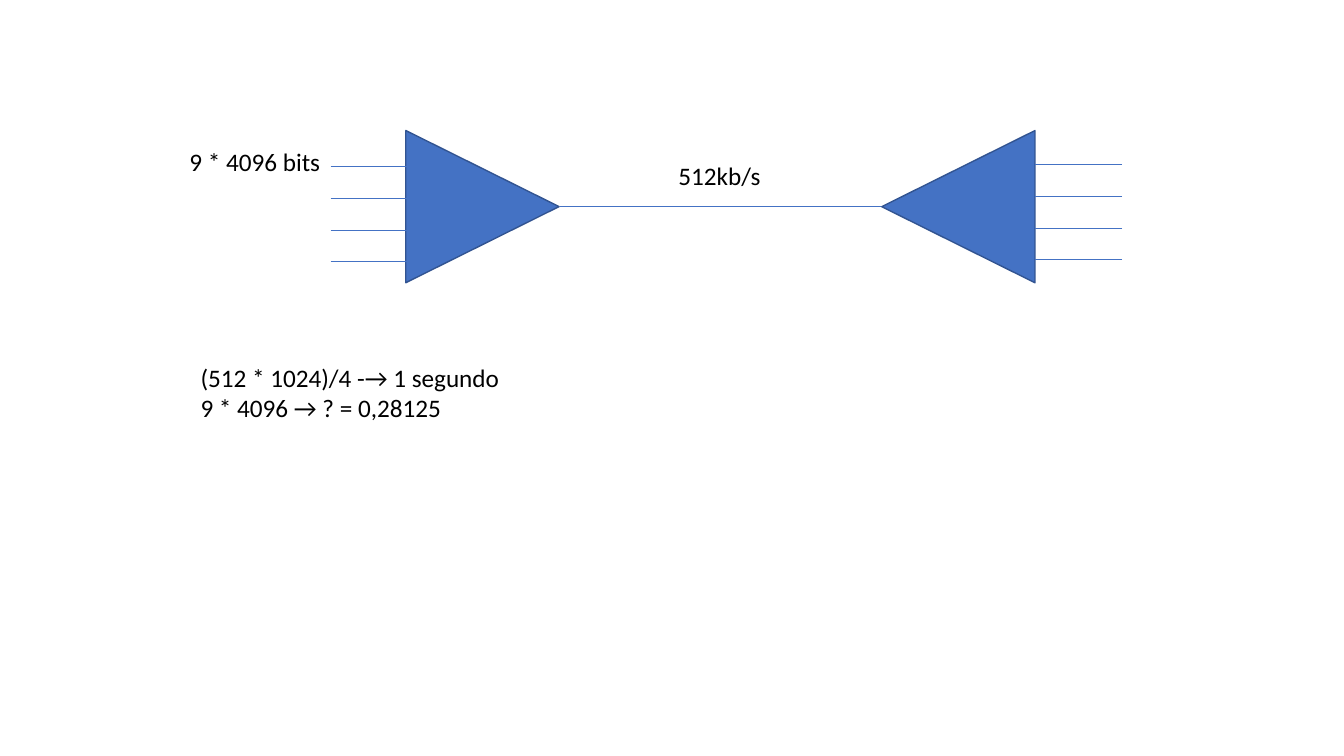
from dataclasses import dataclass

from lxml import etree
from pptx import Presentation
from pptx.dml.color import RGBColor
from pptx.enum.shapes import MSO_CONNECTOR, MSO_SHAPE
from pptx.enum.text import MSO_AUTO_SIZE
from pptx.oxml.ns import qn
from pptx.slide import Slide
from pptx.util import Inches, Pt

STRAIGHT = MSO_CONNECTOR.STRAIGHT
TRIANGLE = MSO_SHAPE.ISOSCELES_TRIANGLE
FIT_SHAPE = MSO_AUTO_SIZE.SHAPE_TO_FIT_TEXT

COLORS = {"blue": "4472C4", "outline": "325491", "text": "000000"}
CHANNEL_OFFSETS = (0, 0.32, 0.64, 0.94)
TRIANGLE_TOP, TRIANGLE_WIDTH, TRIANGLE_HEIGHT = 1.29, 1.51, 1.52
TRUNK_Y = 2.05


@dataclass(frozen=True)
class Multiplexer:
    left: float
    rotation: int
    channel_start: float
    channel_end: float
    first_channel_y: float


@dataclass(frozen=True)
class Label:
    left: float
    top: float
    width: float
    height: float
    lines: tuple[str, ...]


MULTIPLEXERS = (
    Multiplexer(4.03, 90, 3.28, 4.14, 1.65),
    Multiplexer(8.75, 270, 11.13, 10.27, 1.63),
)
LABELS = (
    Label(6.63, 1.54, 1.02, 0.4, ("512kb/s",)),
    Label(1.78, 1.4, 1.51, 0.4, ("9 * 4096 bits",)),
    Label(1.89, 3.54, 3.22, 0.71,
          ("(512 * 1024)/4 -→ 1 segundo", "9 * 4096 → ? = 0,28125")),
)


def color(name: str) -> RGBColor:
    return RGBColor.from_string(COLORS[name])


def draw_link(slide: Slide, start: float, end: float, y: float) -> None:
    link = slide.shapes.add_connector(
        STRAIGHT, Inches(start), Inches(y), Inches(end), Inches(y))
    link.line.color.rgb = color("blue")
    link.line.width = Pt(0.5)
    etree.SubElement(link._element.spPr, qn("a:effectLst"))


def draw_multiplexer(slide: Slide, mux: Multiplexer) -> None:
    body = slide.shapes.add_shape(
        TRIANGLE, Inches(mux.left), Inches(TRIANGLE_TOP),
        Inches(TRIANGLE_WIDTH), Inches(TRIANGLE_HEIGHT))
    body.rotation = mux.rotation
    body.shadow.inherit = False
    body.fill.solid()
    body.fill.fore_color.rgb = color("blue")
    body.line.color.rgb = color("outline")
    body.line.width = Pt(1)
    for offset in CHANNEL_OFFSETS:
        draw_link(slide, mux.channel_start, mux.channel_end,
                  mux.first_channel_y + offset)


def draw_label(slide: Slide, label: Label) -> None:
    box = slide.shapes.add_textbox(
        Inches(label.left), Inches(label.top),
        Inches(label.width), Inches(label.height))
    frame = box.text_frame
    frame.word_wrap = False
    frame.auto_size = FIT_SHAPE
    frame.text = "\n".join(label.lines)
    for paragraph in frame.paragraphs:
        paragraph.font.name = "Calibri"
        paragraph.font.size = Pt(18)
        paragraph.font.color.rgb = color("text")


def main() -> None:
    prs = Presentation()
    prs.slide_width, prs.slide_height = Inches(13.33), Inches(7.5)
    slide = prs.slides.add_slide(prs.slide_layouts[6])

    # Multiplexer and demultiplexer with their channels
    for mux in MULTIPLEXERS:
        draw_multiplexer(slide, mux)

    # Shared trunk between the two
    draw_link(slide, 5.55, 8.74, TRUNK_Y)

    # Rates and calculation
    for label in LABELS:
        draw_label(slide, label)

    prs.save("out.pptx")


if __name__ == "__main__":
    main()
